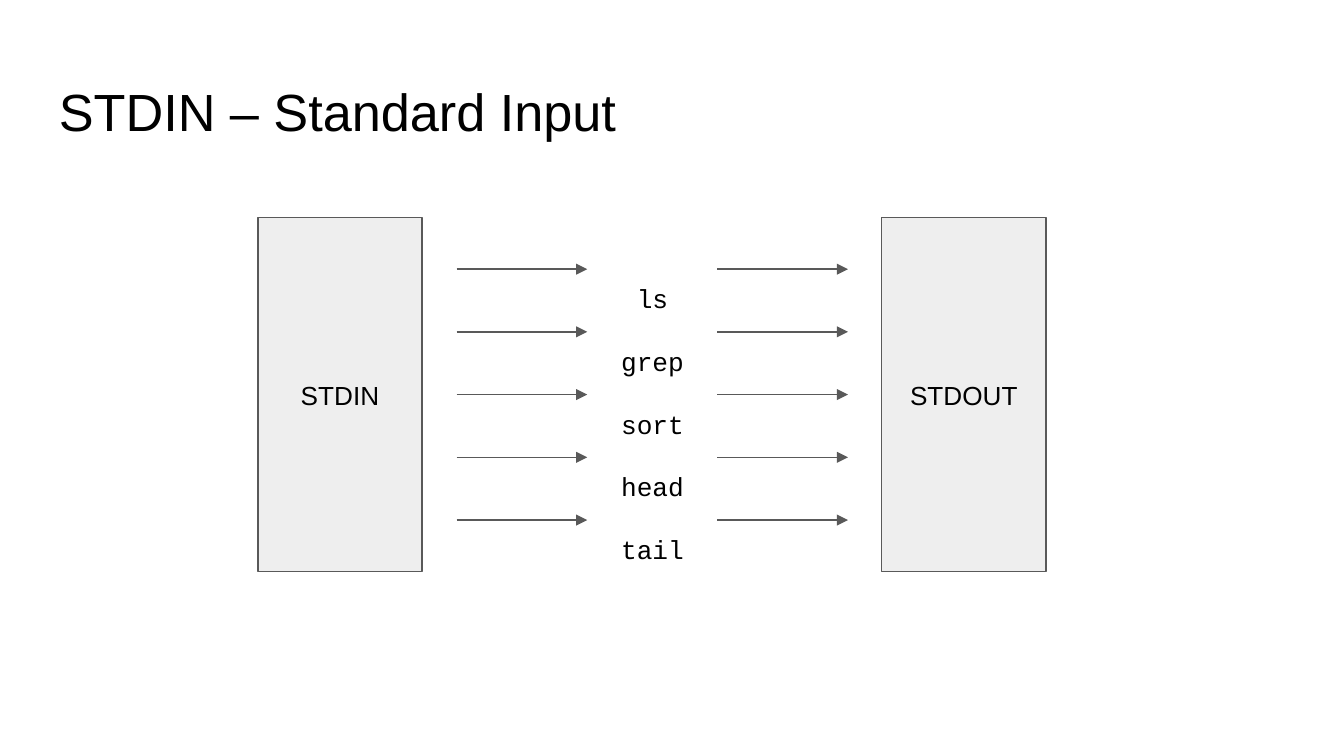
from pptx import Presentation
from pptx.dml.color import RGBColor
from pptx.enum.shapes import MSO_CONNECTOR, MSO_SHAPE
from pptx.enum.text import MSO_ANCHOR, PP_ALIGN
from pptx.oxml.ns import qn
from pptx.util import Pt
from lxml import etree

RECT = MSO_SHAPE.RECTANGLE
LINE = MSO_CONNECTOR.STRAIGHT
LEFT, CENTER = PP_ALIGN.LEFT, PP_ALIGN.CENTER
TOP, MIDDLE = MSO_ANCHOR.TOP, MSO_ANCHOR.MIDDLE


def color(code):
    return RGBColor.from_string(code)


class Deck:
    ink, gray, pale = "000000", "595959", "EEEEEE"
    sans, mono = "Arial", "Courier New"
    inset = 7.2
    stroke = 0.75

    def __init__(self, slide):
        self.slide = slide

    def label(self, shape, lines, size, font, align=LEFT, anchor=TOP, space=1.0):
        frame = shape.text_frame
        frame.word_wrap = True
        frame.vertical_anchor = anchor
        frame.margin_left = frame.margin_right = Pt(self.inset)
        frame.margin_top = frame.margin_bottom = Pt(self.inset)
        for i, text in enumerate(lines):
            para = frame.add_paragraph() if i else frame.paragraphs[0]
            para.alignment = align
            para.line_spacing = space
            run = para.add_run()
            run.text = text
            run.font.size = Pt(size)
            run.font.name = font
            run.font.color.rgb = color(self.ink)

    def text(self, x, y, w, h, lines, size, font, **style):
        box = self.slide.shapes.add_textbox(Pt(x), Pt(y), Pt(w), Pt(h))
        self.label(box, lines, size, font, **style)

    def block(self, x, y, w, h, name):
        box = self.slide.shapes.add_shape(RECT, Pt(x), Pt(y), Pt(w), Pt(h))
        box.shadow.inherit = False
        box.fill.solid()
        box.fill.fore_color.rgb = color(self.pale)
        box.line.color.rgb = color(self.gray)
        box.line.width = Pt(self.stroke)
        self.label(box, [name], 14, self.sans, align=CENTER, anchor=MIDDLE)

    def arrow(self, x, y, w):
        line = self.slide.shapes.add_connector(LINE, Pt(x), Pt(y), Pt(x + w), Pt(y))
        line.line.color.rgb = color(self.gray)
        line.line.width = Pt(self.stroke)
        props = line._element.spPr
        etree.SubElement(props.find(qn("a:ln")), qn("a:tailEnd"), type="triangle")
        etree.SubElement(props, qn("a:effectLst"))


def main():
    prs = Presentation()
    prs.slide_width, prs.slide_height = Pt(720), Pt(405)
    deck = Deck(prs.slides.add_slide(prs.slide_layouts[6]))

    # Title
    deck.text(24.5, 35.2, 671, 45.4, ["STDIN – Standard Input"], 28, deck.sans)

    # Commands
    names = ["ls", "grep", "sort", "head", "tail"]
    deck.text(323.3, 127.4, 52.6, 204.5, names, 14, deck.mono, align=CENTER, space=2.0)

    # Input and output streams
    for x, name in ((138.2, "STDIN"), (472.4, "STDOUT")):
        deck.block(x, 116.6, 88, 189.6, name)

    # One arrow into and one out of each command
    for x in (244.6, 384.3):
        for row in range(len(names)):
            deck.arrow(x, 144.2 + row * 33.6, 70)

    prs.save("out.pptx")


if __name__ == "__main__":
    main()
